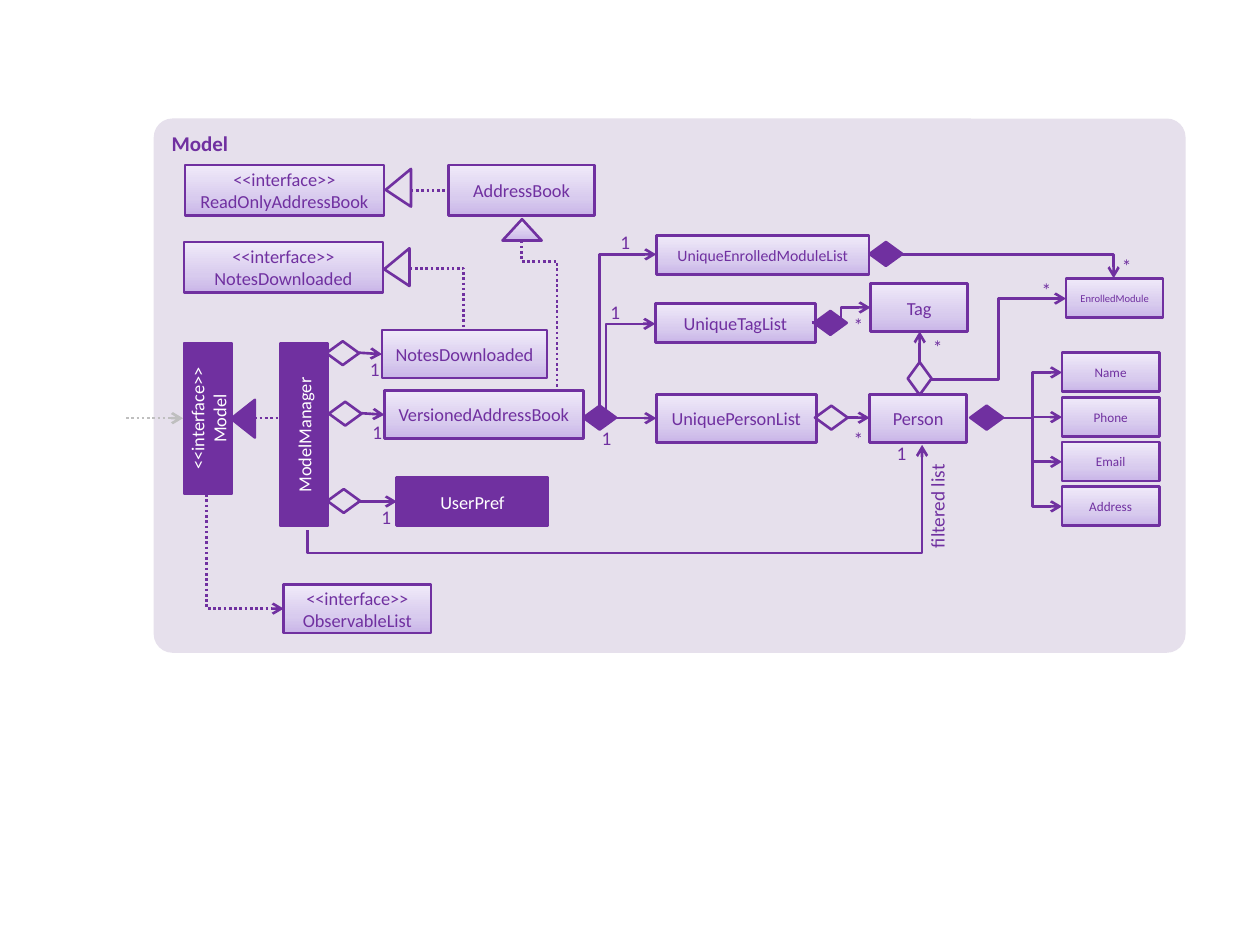
import copy
import pptx
import pptx.dml.color
import pptx.enum.dml
import pptx.enum.shapes
import pptx.enum.text
import pptx.oxml.ns
import pptx.util

Cm = pptx.util.Cm
Pt = pptx.util.Pt
qn = pptx.oxml.ns.qn
MSO = pptx.enum.shapes.MSO_SHAPE
LINK = pptx.enum.shapes.MSO_CONNECTOR
ALIGN = pptx.enum.text.PP_ALIGN
ANCHOR = pptx.enum.text.MSO_ANCHOR

PURPLE, LILAC, GREY, WHITE = "7030A0", "E6E0EC", "BFBFBF", "FFFFFF"
GRADIENT = [(0, "C9B5E8"), (0.35, "D8CBEE"), (1, "F0EAF9")]


def rgb(value):
    return pptx.dml.color.RGBColor.from_string(value)


def write(sp, text, size=10.5, color=PURPLE, bold=False, align=ALIGN.CENTER,
          anchor=ANCHOR.MIDDLE, inset=None):
    tf = sp.text_frame
    tf.word_wrap = True
    tf.vertical_anchor = anchor
    if inset is not None:
        tf.margin_left = tf.margin_right = tf.margin_top = tf.margin_bottom = Cm(inset)
    for i, para in enumerate(text.split("\n")):
        p = tf.add_paragraph() if i else tf.paragraphs[0]
        p.alignment = align
        for j, part in enumerate(para.split("\v")):
            if j:
                p.add_line_break()
            r = p.add_run()
            r.text = part
            r.font.name = "Calibri"
            r.font.size = Pt(size)
            r.font.bold = bold
            r.font.color.rgb = rgb(color)


class ClassDiagram:
    """Draws class diagram elements on one slide in a shared style."""

    def __init__(self, slide, weight=1.5):
        self.s = slide
        self.weight = Pt(weight)

    def shape(self, kind, x, y, w, h, fill=None, line=PURPLE, rot=0, adj=None):
        sp = self.s.shapes.add_shape(kind, Cm(x), Cm(y), Cm(w), Cm(h))
        sp.shadow.inherit = False
        sp.rotation = rot
        if adj is not None:
            sp.adjustments[0] = adj
        if fill is None:
            sp.fill.background()
        elif fill is GRADIENT:
            self.shade(sp)
        else:
            sp.fill.solid()
            sp.fill.fore_color.rgb = rgb(fill)
        if line:
            sp.line.color.rgb = rgb(line)
            sp.line.width = self.weight
        else:
            sp.line.fill.background()
        return sp

    def shade(self, sp):
        sp.fill.gradient()
        sp.fill.gradient_angle = 90
        stops = sp._element.spPr.find(".//" + qn("a:gsLst"))
        stops.insert(1, copy.deepcopy(stops[0]))
        for stop, (position, color) in zip(sp.fill.gradient_stops, GRADIENT):
            stop.position = position
            stop.color.rgb = rgb(color)

    def box(self, text, x, y, w, h=0.97, fill=GRADIENT, rot=0, **fmt):
        write(self.shape(MSO.RECTANGLE, x, y, w, h, fill, rot=rot), text, **fmt)

    def diamond(self, x, y, fill=None, rot=0):
        self.shape(MSO.FLOWCHART_DECISION, x, y, 0.66, 0.48, fill, rot=rot)

    def triangle(self, x, y, w, h, fill, rot=270, adj=0.5):
        self.shape(MSO.ISOSCELES_TRIANGLE, x, y, w, h, fill, rot=rot, adj=adj)

    def label(self, text, x, y, w=0.53, h=0.51, rot=0, **fmt):
        sp = self.s.shapes.add_textbox(Cm(x), Cm(y), Cm(w), Cm(h))
        sp.rotation = rot
        write(sp, text, size=11, anchor=ANCHOR.TOP, **fmt)

    def link(self, x1, y1, x2, y2, bend="", adj=None, dotted=False, arrow=True, color=PURPLE):
        kind = LINK.ELBOW if bend else LINK.STRAIGHT
        upright = bend.startswith("v")
        if upright:
            cx, cy, dx, dy = (x1 + x2) / 2, (y1 + y2) / 2, (x2 - x1) / 2, (y2 - y1) / 2
            x1, y1, x2, y2 = cx - dy, cy + dx, cx + dy, cy - dx
        c = self.s.shapes.add_connector(kind, Cm(x1), Cm(y1), Cm(x2), Cm(y2))
        spPr = c._element.spPr
        if upright:
            spPr.find(qn("a:xfrm")).set("rot", "5400000")
        geom = spPr.find(qn("a:prstGeom"))
        if bend.endswith("2"):
            geom.set("prst", "bentConnector2")
        if adj is not None:
            guide = geom.find(qn("a:avLst")).makeelement(qn("a:gd"), {})
            guide.set("name", "adj1")
            guide.set("fmla", f"val {round(adj * 100000)}")
            geom.find(qn("a:avLst")).append(guide)
        c.line.color.rgb = rgb(color)
        c.line.width = self.weight
        if dotted:
            c.line.dash_style = pptx.enum.dml.MSO_LINE.ROUND_DOT
        ln = spPr.find(qn("a:ln"))
        if arrow:
            ln.append(ln.makeelement(qn("a:tailEnd"), {"type": "arrow"}))
        ln.addnext(spPr.makeelement(qn("a:effectLst"), {}))


prs = pptx.Presentation()
prs.slide_width, prs.slide_height = Cm(25.4), Cm(19.05)
d = ClassDiagram(prs.slides.add_slide(prs.slide_layouts[6]))

panel = d.shape(MSO.ROUNDED_RECTANGLE, 3.1, 2.39, 20.8, 10.77, LILAC, line=None, adj=0.035)
write(panel, "Model", size=12, bold=True, align=ALIGN.LEFT, anchor=ANCHOR.TOP)

solid = dict(fill=PURPLE, color=WHITE)
d.box("UserPref", 8, 9.63, 3.05, **solid)
d.box("ModelManager", 4.29, 8.28, 3.68, rot=270, **solid)
d.box("<<interface>>\nModel", 2.67, 7.95, 3.05, rot=270, **solid)

for text, x, y, w, h, size in [
    ("VersionedAddressBook", 7.75, 7.87, 4.01, 0.97, 10.5),
    ("UniquePersonList", 13.23, 7.95, 3.23, 0.97, 10.5),
    ("Person", 17.53, 7.95, 1.96, 0.97, 10.5),
    ("<<interface>>\vObservableList", 5.72, 11.79, 2.97, 0.97, 10.5),
    ("UniqueTagList", 13.21, 6.12, 3.23, 0.79, 10.5),
    ("Tag", 17.55, 5.72, 1.96, 0.97, 10.5),
    ("<<interface>>\vReadOnlyAddressBook", 3.73, 3.33, 4.01, 1.02, 10.5),
    ("AddressBook", 9.04, 3.33, 2.95, 1.02, 10.5),
    ("EnrolledModule", 21.49, 5.61, 1.96, 0.79, 6),
    ("UniqueEnrolledModuleList", 13.23, 4.75, 4.29, 0.79, 9),
    ("NotesDownloaded", 7.7, 6.65, 3.33, 0.97, 10.5),
    ("<<interface>>\vNotesDownloaded", 3.71, 4.88, 4.01, 1.02, 10.5),
]:
    d.box(text, x, y, w, h, size=size)

for i, field in enumerate(["Name", "Phone", "Email", "Address"]):
    top = 7.11 + 0.9 * i
    d.box(field, 21.41, top, 1.96, 0.79, size=7.5)
    d.link(20.22, 8.43, 21.41, top + 0.4, bend="h3")

for ends in [
    (7.24, 10.11, 8, 10.11),
    (7.29, 8.33, 7.75, 8.36),
    (7.24, 7.11, 7.7, 7.14),
    (12.42, 8.43, 13.23, 8.43),
    (17.09, 8.42, 17.53, 8.42),
    (18.54, 7.32, 18.54, 6.68),
    (16.36, 6.5, 17.55, 6.2, "h3"),
    (18.77, 7.65, 21.49, 6.02, "h3"),
    (17.53, 5.13, 22.45, 5.61, "h2"),
    (12.22, 8.59, 13.21, 6.53, "v2"),
    (12.09, 8.18, 13.23, 5.13, "v2"),
    (6.2, 10.69, 18.59, 8.97, "v3", -0.267),
]:
    d.link(*ends)

d.link(2.54, 8.43, 3.69, 8.43, dotted=True, color=GREY)
d.link(4.17, 9.96, 5.72, 12.27, "v2", dotted=True)
for ends in [
    (5.13, 8.43, 5.74, 8.43),
    (8.28, 3.84, 9.04, 3.84),
    (8.26, 5.41, 9.35, 6.65, "h2"),
    (10.52, 4.85, 11.23, 7.95, "v3", 0.136),
]:
    d.link(*ends, dotted=True, arrow=False)

for x, y in [(6.6, 9.86), (6.63, 8.1), (6.58, 6.88), (16.43, 8.18)]:
    d.diamond(x, y)
d.diamond(18.21, 7.39, rot=270)
for x, y in [(11.76, 8.18), (19.56, 8.18), (16.41, 6.27), (17.53, 4.88)]:
    d.diamond(x, y, PURPLE)

d.triangle(4.52, 8.2, 0.76, 0.48, PURPLE)
d.triangle(10.13, 4.42, 0.79, 0.43, GRADIENT, rot=0)
for x, y in [(7.65, 3.53), (7.62, 5.13)]:
    d.triangle(x, y, 0.76, 0.51, LILAC, adj=0.445)

multiplicities = {
    "1": [(11.96, 8.59), (7.34, 8.48), (7.52, 10.19), (17.91, 8.89),
          (12.14, 6.05), (12.34, 4.65), (7.29, 7.21)],
    "*": [(17.04, 8.61), (18.64, 6.76), (17.04, 6.32), (20.83, 5.61), (22.45, 5.13)],
}
for mark, places in multiplicities.items():
    for x, y in places:
        d.label(mark, x, y, inset=0)
d.label("filtered list", 17.68, 9.96, 2.44, 0.74, rot=270, align=ALIGN.RIGHT)

prs.save("out.pptx")
